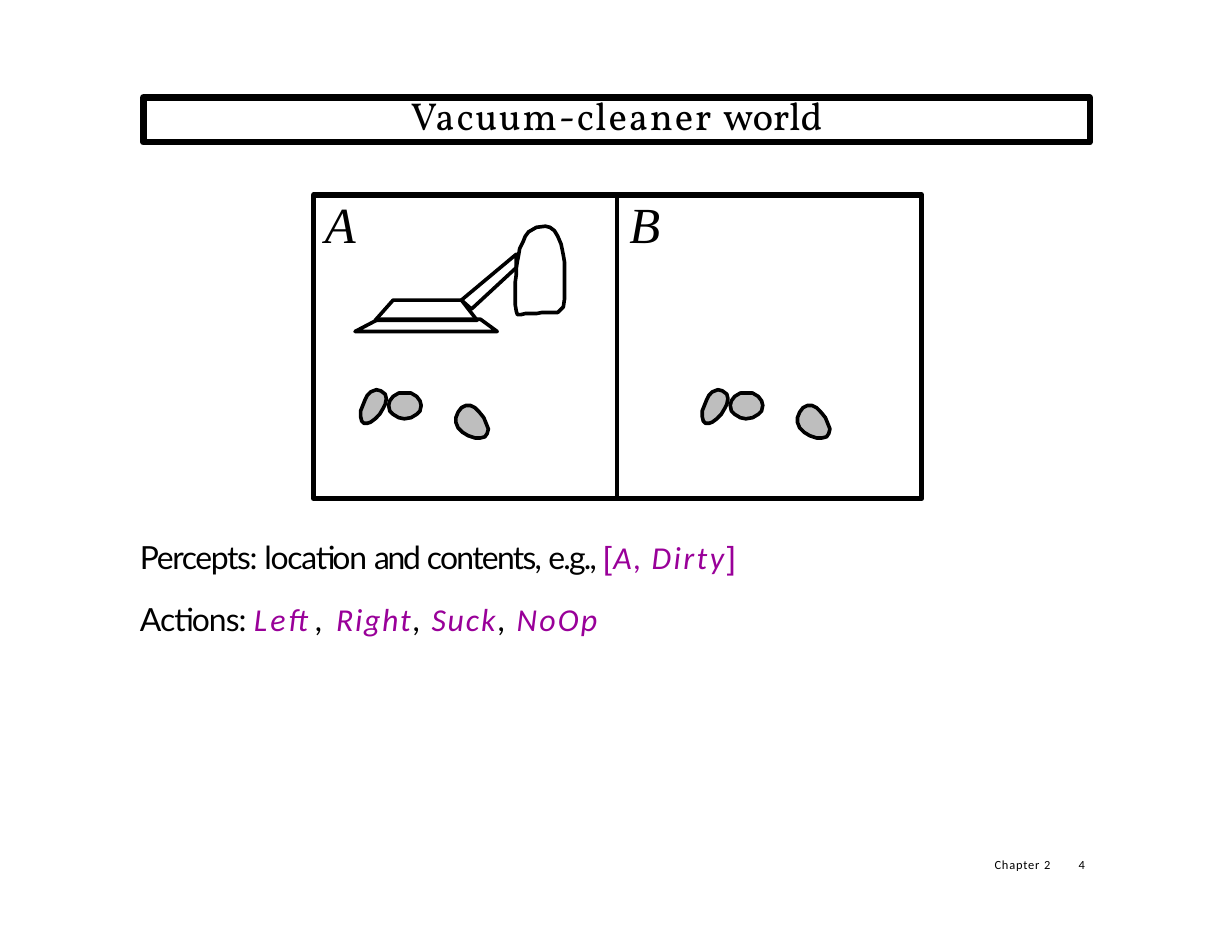
"""Build the vacuum-cleaner world slide."""
from lxml.etree import SubElement
from pptx import Presentation
from pptx.dml.color import RGBColor
from pptx.enum.shapes import MSO_CONNECTOR
from pptx.enum.text import PP_ALIGN
from pptx.oxml.ns import qn
from pptx.util import Inches, Pt

LEFT, MID = PP_ALIGN.LEFT, PP_ALIGN.CENTER
STRAIGHT = MSO_CONNECTOR.STRAIGHT
HUES = {"ink": "000000", "dirt": "BEBEBE", "term": "990099"}
RGB = {name: RGBColor.from_string(hue) for name, hue in HUES.items()}
COLS, ROWS = 1100, 850

deck = Presentation()
deck.slide_width, deck.slide_height = Inches(11), Inches(8.5)
CELL = deck.slide_width // COLS
slide = deck.slides.add_slide(deck.slide_layouts[6])
shapes = slide.shapes


def write(box, paras, size, top=0, indent=0, lead=None, gap=0, align=LEFT, tab=None):
    item = shapes.add_textbox(*[n * CELL for n in box])
    frame = item.text_frame
    frame.word_wrap = True
    frame.margin_left = frame.margin_right = frame.margin_bottom = 0
    frame.margin_top = top * CELL
    for i, runs in enumerate(paras):
        para = frame.paragraphs[0] if i == 0 else frame.add_paragraph()
        props = para._p.get_or_add_pPr()
        props.set("marL", str(indent * CELL))
        if tab:
            tabs = SubElement(props, qn("a:tabLst"))
            SubElement(tabs, qn("a:tab"), pos=str(tab * CELL), algn="l")
        para.alignment = align
        if lead:
            para.line_spacing = Pt(lead)
        if i:
            para.space_before = Pt(gap)
        for text, face, hue, slant, space in runs:
            run = para.add_run()
            run.text = text
            run.font.size, run.font.name = Pt(size), face
            run.font.italic = slant
            run.font.color.rgb = RGB[hue]
            run._r.get_or_add_rPr().set("spc", str(round(space * 100)))
    return item


def draw(paths, width=2.33, fill=None, shift=0):
    pen = None
    for path in paths:
        pts = [(x + shift, y) for x, y in path]
        if pen is None:
            pen = shapes.build_freeform(*pts[0], scale=CELL)
        else:
            pen.move_to(*pts[0])
        pen.add_line_segments(pts[1:], close=True)
    item = pen.convert_to_shape()
    item.shadow.inherit = False
    if fill:
        item.fill.solid()
        item.fill.fore_color.rgb = RGB[fill]
    else:
        item.fill.background()
    item.line.color.rgb = RGB["ink"]
    item.line.width = Pt(width)
    SubElement(item.line._get_or_add_ln(), qn("a:round"))


head = [(text, "Vollkorn", "ink", False, space) for text, space in
        (("Vacuum-", 1.1), ("cleaner ", 1.2), ("world", -0.1))]
title = write((128, 87, 845, 40), [head], 25, lead=26.4, align=MID)
title.line.color.rgb = RGB["ink"]
title.line.width = Pt(4.08)
SubElement(title.line._get_or_add_ln(), qn("a:round"))

draw([[(280, 174), (823, 174), (823, 445), (280, 445)]], width=3.5)
wall = shapes.add_connector(STRAIGHT, 551 * CELL, 174 * CELL, 551 * CELL, 445 * CELL)
wall.line.color.rgb = RGB["ink"]
wall.line.width = Pt(2.33)
SubElement(wall._element.spPr, qn("a:effectLst"))

lean = [(336, 348), (331, 350), (328, 353), (326, 357), (324, 362), (322, 367),
        (322, 372), (323, 376), (325, 378), (328, 378), (331, 377), (335, 374),
        (339, 370), (342, 365), (344, 361), (345, 356), (344, 352), (340, 349)]
drop = [(420, 362), (416, 362), (412, 364), (409, 368), (407, 373), (407, 377),
        (409, 382), (413, 386), (418, 389), (424, 391), (429, 391), (433, 390),
        (435, 387), (436, 383), (434, 378), (432, 373), (428, 368), (424, 364)]
disc = [(361, 351), (356, 351), (351, 354), (348, 358), (347, 362), (348, 367),
        (351, 370), (356, 373), (361, 374), (367, 373), (372, 370), (375, 367),
        (376, 362), (375, 358), (372, 354), (367, 351)]
for shift in (0, 305):
    for blob in (lean, drop, disc):
        draw([blob], fill="dirt", shift=shift)

hood = [(335, 286), (426, 286), (412, 268), (351, 268)]
tube = [(412, 268), (461, 227), (461, 239), (421, 276)]
bag = [(460, 272), (460, 258), (460, 252), (461, 245), (461, 239), (462, 233),
       (463, 228), (464, 222), (467, 216), (469, 211), (472, 207), (479, 203),
       (487, 202), (491, 203), (495, 206), (498, 211), (501, 218), (502, 223),
       (503, 228), (504, 234), (504, 240), (504, 267), (503, 274), (498, 279),
       (484, 279), (479, 280), (469, 280), (465, 281), (462, 281), (461, 278)]
draw([hood, tube, bag])
draw([[(429, 285), (444, 296), (317, 296), (338, 285)]])

write((290, 169, 301, 57), [[("A\tB", "Times New Roman", "ink", True, -0.5)]],
      32.5, top=3, tab=272)

sense = [(text, "Lato", "ink", False, space) for text, space in
         (("Percepts: ", -0.9), ("location ", -0.8), ("and ", -1.5),
          ("contents, ", -1.1), ("e.g., ", -1.2))]
sense += [("[", "Arial", "term", False, 0.9), ("A, ", "Calibri", "term", True, 0.9),
          ("Dirty", "Calibri", "term", True, 1.6), ("]", "Arial", "term", False, 1.6)]
acts = [("Actions: ", "Lato", "ink", False, -0.6)]
for i, (name, space) in enumerate(
        (("Left", 1.9), ("Right", 1.1), ("Suck", 1.2), ("NoOp", 1.4))):
    if i:
        acts.append((", ", "Lato", "ink", False, acts[-1][4]))
    acts.append((name, "Calibri", "term", True, space))
write((124, 477, 554, 93), [sense, acts], 20.5, top=3, indent=1, gap=15.6)

part = [("Chapter ", "Calibri", "ink", False, 0.5), ("2", "Calibri", "ink", False, -0.5)]
write((887, 766, 60, 14), [part], 8, indent=1, lead=8.8)
write((959, 766, 21, 14), [[("4", "Calibri", "ink", False, -0.2)]], 8, indent=4, lead=8.8)

deck.save("out.pptx")
